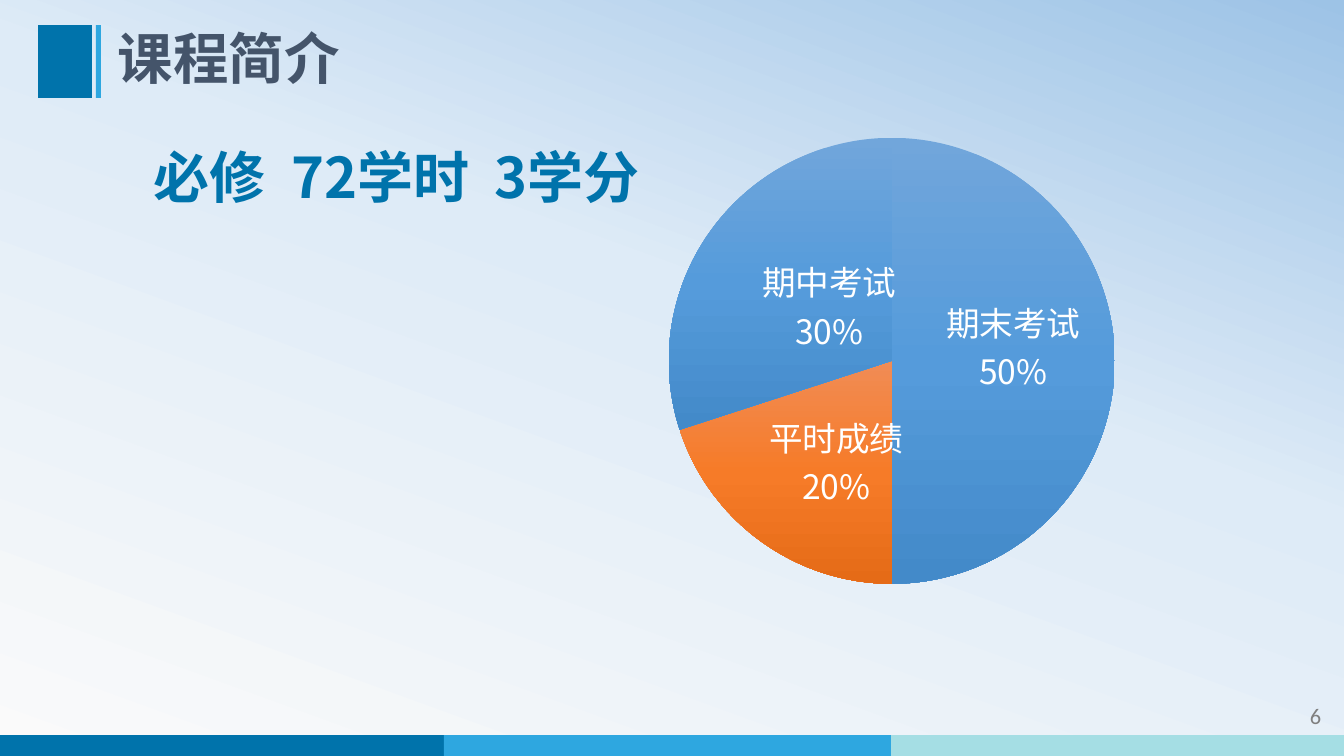
from dataclasses import dataclass

from lxml.etree import SubElement
from pptx import Presentation
from pptx.chart.chart import Chart
from pptx.chart.data import CategoryChartData
from pptx.dml.color import RGBColor
from pptx.enum.chart import XL_CHART_TYPE, XL_LABEL_POSITION
from pptx.enum.shapes import MSO_SHAPE
from pptx.enum.text import MSO_ANCHOR, PP_ALIGN
from pptx.oxml import parse_xml
from pptx.oxml.ns import nsdecls, qn
from pptx.slide import Slide
from pptx.util import Pt

EMU_PER_PX = 914400 / 100.8
SLIDE_WIDTH, SLIDE_HEIGHT = 1344, 756
CJK_FONT = "Noto Sans CJK SC"
DARK_BLUE, MID_BLUE, PALE_CYAN = "0073AB", "2EA7E0", "A5DEE4"
BACKGROUND_STOPS = ((0, "FAFAFA"), (58, "DEEBF7"), (100, "9DC3E6"))
BLUE_STOPS = ((0, "71A6DB"), (50, "559BDB"), (100, "438AC9"))
ORANGE_STOPS = ((0, "F18C55"), (50, "F67B28"), (100, "E56B17"))
Stops = tuple[tuple[int, str], ...]


@dataclass(frozen=True)
class Box:
    left: int
    top: int
    width: int
    height: int

    def emu(self) -> tuple[int, int, int, int]:
        return px(self.left), px(self.top), px(self.width), px(self.height)


@dataclass(frozen=True)
class Bar:
    box: Box
    color: str


@dataclass(frozen=True)
class Label:
    text: str
    box: Box
    size: float
    color: str
    font: str = CJK_FONT
    bold: bool = True
    align: PP_ALIGN = PP_ALIGN.LEFT
    anchor: MSO_ANCHOR = MSO_ANCHOR.MIDDLE
    line_spacing: float = 1.0
    space_before: int = 0


@dataclass(frozen=True)
class Slice:
    name: str
    percent: int
    stops: Stops
    label_shift: tuple[int, int]


CHART_BOX = Box(542, 61, 728, 630)
PIE_BOX = Box(127, 77, 446, 446)  # relative to the chart

BARS = [
    *(Bar(Box(-3 + 447 * index, 735, 453, 21), color)
      for index, color in enumerate((DARK_BLUE, MID_BLUE, PALE_CYAN))),
    Bar(Box(38, 25, 54, 73), DARK_BLUE),
    Bar(Box(96, 25, 5, 73), MID_BLUE),
]
LABELS = [
    Label("6", Box(1171, 696, 160, 40), 16, "808080", "Calibri", False, PP_ALIGN.RIGHT),
    Label("课程简介", Box(108, 25, 1095, 73), 39.6, "44546A", line_spacing=0.9),
    Label("必修  72学时  3学分", Box(144, 138, 907, 108), 40, DARK_BLUE,
          anchor=MSO_ANCHOR.TOP, space_before=10),
]
SLICES = [
    Slice("期末考试", 50, BLUE_STOPS, (10, -15)),
    Slice("平时成绩", 20, ORANGE_STOPS, (10, 10)),
    Slice("期中考试", 30, BLUE_STOPS, (28, 10)),
]


def px(length: int) -> int:
    return round(length * EMU_PER_PX)


def rgb(color: str) -> RGBColor:
    return RGBColor.from_string(color)


def style_font(font, name: str, size: float, color: str, bold: bool) -> None:
    font.name, font.size, font.bold = name, Pt(size), bold
    font.color.rgb = rgb(color)


def add_east_asian_fonts(element) -> None:
    """Use each Latin typeface for Chinese characters too."""
    for latin in element.xpath(".//a:latin"):
        latin.addnext(parse_xml(
            f'<a:ea {nsdecls("a")} typeface="{latin.get("typeface")}"/>'))


def set_gradient(gradient, stops: Stops, angle: int) -> None:
    """Replace the stops of an a:gradFill; the angle runs clockwise."""
    stop_list = gradient.find(qn("a:gsLst"))
    for old_stop in list(stop_list):
        stop_list.remove(old_stop)
    for position, color in stops:
        stop = SubElement(stop_list, qn("a:gs"), pos=str(position * 1000))
        SubElement(stop, qn("a:srgbClr"), val=color)
    gradient.find(qn("a:lin")).set("ang", str(angle * 60000))


def paint_background(slide: Slide) -> None:
    slide.background.fill.gradient()
    gradient = slide.element.xpath(".//p:bgPr/a:gradFill")[0]
    set_gradient(gradient, BACKGROUND_STOPS, 290)


def add_bar(slide: Slide, bar: Bar) -> None:
    shape = slide.shapes.add_shape(MSO_SHAPE.RECTANGLE, *bar.box.emu())
    shape.shadow.inherit = False
    shape.fill.solid()
    shape.fill.fore_color.rgb = rgb(bar.color)
    shape.line.fill.background()


def add_label(slide: Slide, label: Label) -> None:
    text_frame = slide.shapes.add_textbox(*label.box.emu()).text_frame
    text_frame.word_wrap = True
    text_frame.vertical_anchor = label.anchor
    text_frame.text = label.text
    paragraph = text_frame.paragraphs[0]
    paragraph.alignment = label.align
    paragraph.line_spacing = label.line_spacing
    paragraph.space_before = Pt(label.space_before)
    style_font(paragraph.runs[0].font, label.font, label.size, label.color, label.bold)


def layout_xml(fractions: dict[str, float], inner: bool = False):
    """Build a manual chart layout from fractions of the chart's size."""
    head = ('<c:layoutTarget val="inner"/><c:xMode val="edge"/><c:yMode val="edge"/>'
            if inner else "")
    values = "".join(f'<c:{key} val="{value:.3f}"/>' for key, value in fractions.items())
    return parse_xml(f'<c:layout {nsdecls("c")}><c:manualLayout>{head}{values}'
                     "</c:manualLayout></c:layout>")


def place_pie(chart: Chart) -> None:
    plot_area = chart.element.xpath(".//c:plotArea")[0]
    for old_layout in plot_area.findall(qn("c:layout")):
        plot_area.remove(old_layout)
    plot_area.insert(0, layout_xml({
        "x": PIE_BOX.left / CHART_BOX.width, "y": PIE_BOX.top / CHART_BOX.height,
        "w": PIE_BOX.width / CHART_BOX.width, "h": PIE_BOX.height / CHART_BOX.height,
    }, inner=True))


def finish_slice_label(label, shift: tuple[int, int]) -> None:
    """Show category and percentage on two lines, moved by shift."""
    for tag, shown in (("showVal", "0"), ("showCatName", "1"), ("showPercent", "1")):
        label.find(qn(f"c:{tag}")).set("val", shown)
    SubElement(label, qn("c:separator")).text = "\n"
    label.find(qn("c:idx")).addnext(layout_xml(
        {"x": shift[0] / CHART_BOX.width, "y": shift[1] / CHART_BOX.height}))


def add_grade_pie(slide: Slide) -> None:
    data = CategoryChartData()
    data.categories = [part.name for part in SLICES]
    data.add_series("Series 1", [part.percent for part in SLICES])
    chart = slide.shapes.add_chart(XL_CHART_TYPE.PIE, *CHART_BOX.emu(), data).chart
    chart.has_title = chart.has_legend = False
    style_font(chart.font, CJK_FONT, 24, "FFFFFF", False)
    place_pie(chart)
    points = chart.plots[0].series[0].points
    for index, part in enumerate(SLICES):
        point = points[index]
        point.format.fill.gradient()
        point.format.line.fill.background()
        style_font(point.data_label.font, CJK_FONT, 24, "FFFFFF", False)
        point.data_label.position = XL_LABEL_POSITION.CENTER
        gradient = chart.element.xpath(".//c:dPt//a:gradFill")[index]
        set_gradient(gradient, part.stops, 90)
        finish_slice_label(chart.element.xpath(".//c:dLbl")[index], part.label_shift)
    add_east_asian_fonts(chart.element)


def main() -> None:
    presentation = Presentation()
    presentation.slide_width, presentation.slide_height = px(SLIDE_WIDTH), px(SLIDE_HEIGHT)
    slide = presentation.slides.add_slide(presentation.slide_layouts[6])
    paint_background(slide)
    for bar in BARS:
        add_bar(slide, bar)
    for label in LABELS:
        add_label(slide, label)
    add_east_asian_fonts(slide.element)
    add_grade_pie(slide)
    presentation.save("out.pptx")


if __name__ == "__main__":
    main()
